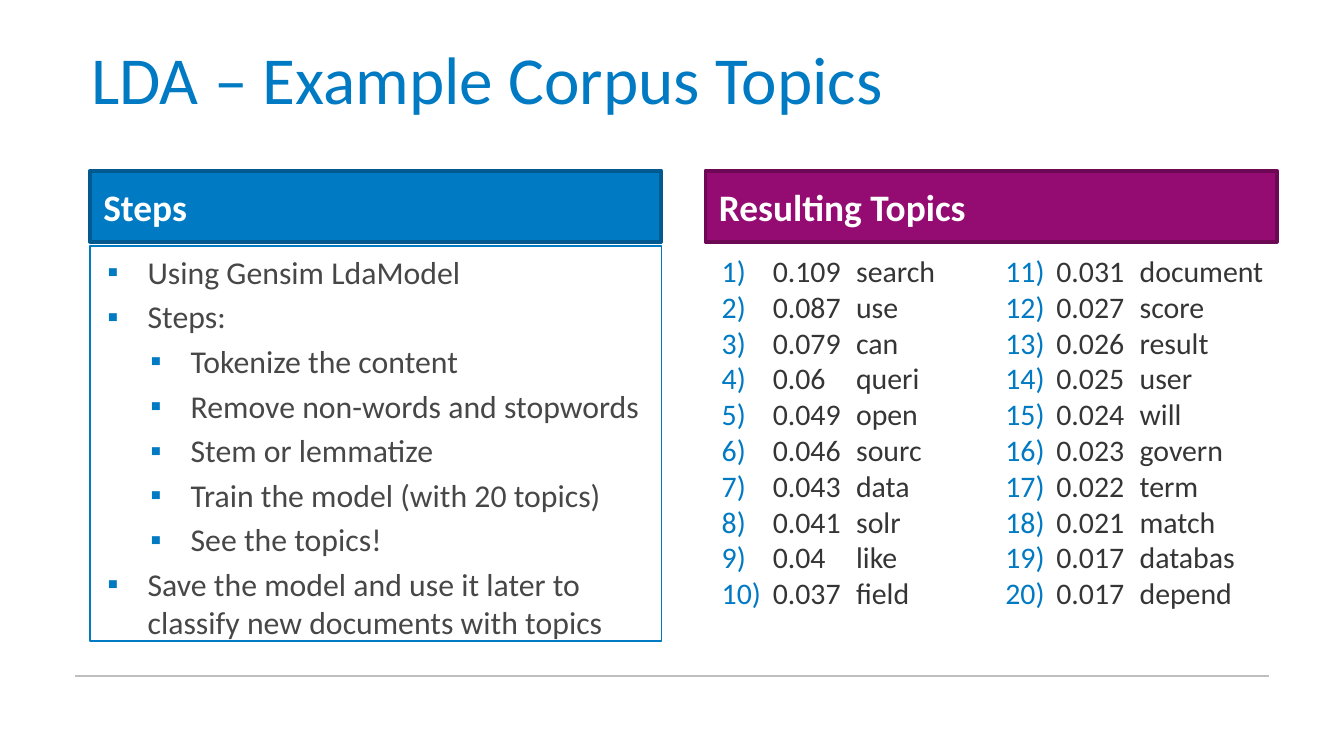
from lxml.etree import SubElement
from pptx import Presentation
from pptx.dml.color import RGBColor
from pptx.enum.shapes import MSO_CONNECTOR, MSO_SHAPE
from pptx.enum.text import MSO_ANCHOR, MSO_AUTO_SIZE, PP_ALIGN
from pptx.oxml.ns import qn
from pptx.util import Inches, Pt

BLUE = RGBColor(0x00, 0x7A, 0xC3)
NAVY = RGBColor(0x00, 0x5A, 0x90)
PLUM = RGBColor(0x94, 0x0C, 0x72)
DARK_PLUM = RGBColor(0x6D, 0x09, 0x54)
GRAY = RGBColor(0x47, 0x47, 0x47)
INK = RGBColor(0x35, 0x35, 0x35)
RULE = RGBColor(0xBF, 0xBF, 0xBF)
WHITE = RGBColor(0xFF, 0xFF, 0xFF)


def add_run(para, text, size, color, bold=False):
    run = para.add_run()
    run.text = text
    font = run.font
    font.name, font.size, font.bold = "Calibri", Pt(size), bold
    font.color.rgb = color


def add_bullet(para, left, hang, tag, **attrs):
    """Give a paragraph a hanging indent and a blue bullet or number."""
    props = para._p.get_or_add_pPr()
    props.set("marL", str(Inches(left)))
    props.set("indent", str(-Inches(hang)))
    color = SubElement(props, qn("a:buClr"))
    SubElement(color, qn("a:srgbClr"), val=str(BLUE))
    SubElement(props, qn("a:buFont"), typeface="Arial" if tag == "a:buChar" else "Calibri")
    SubElement(props, qn(tag), **attrs)
    return props


prs = Presentation()
prs.slide_width = Inches(10)
prs.slide_height = prs.slide_width * 9 // 16
slide = prs.slides.add_slide(prs.slide_layouts[5])
shapes = slide.shapes

# Title and footer rule
title = shapes.title
title.left, title.top = Inches(0.58), Inches(0.22)
title.width, title.height = Inches(8.92), Inches(0.71)
title.text_frame.vertical_anchor = MSO_ANCHOR.MIDDLE
para = title.text_frame.paragraphs[0]
para.alignment = PP_ALIGN.LEFT
add_run(para, "LDA – Example Corpus Topics", 36, BLUE)

rule = shapes.add_connector(
    MSO_CONNECTOR.STRAIGHT, Inches(0.56), Inches(5.03), Inches(9.44), Inches(5.03))
rule.line.color.rgb, rule.line.width = RULE, Pt(1)
SubElement(rule._element.spPr, qn("a:effectLst"))

# Column headers
for left, text, fill, edge in (
    (0.67, "Steps", BLUE, NAVY),
    (5.25, "Resulting Topics", PLUM, DARK_PLUM),
):
    head = shapes.add_shape(
        MSO_SHAPE.RECTANGLE, Inches(left), Inches(1.27), Inches(4.25), Inches(0.53))
    head.shadow.inherit = False
    head.fill.solid()
    head.fill.fore_color.rgb = fill
    head.line.color.rgb, head.line.width = edge, Pt(2)
    head.text_frame.vertical_anchor = MSO_ANCHOR.MIDDLE
    para = head.text_frame.paragraphs[0]
    para.alignment = PP_ALIGN.LEFT
    add_run(para, text, 20, WHITE, True)

# Steps
steps = [
    (0, "Using Gensim LdaModel"),
    (0, "Steps:"),
    (1, "Tokenize the content"),
    (1, "Remove non-words and stopwords"),
    (1, "Stem or lemmatize"),
    (1, "Train the model (with 20 topics)"),
    (1, "See the topics!"),
    (0, "Save the model and use it later to classify new documents with topics"),
]
box = shapes.add_textbox(Inches(0.67), Inches(1.83), Inches(4.25), Inches(2.94))
box.line.color.rgb, box.line.width = BLUE, Pt(0.75)
frame = box.text_frame
frame.word_wrap = True
for i, (level, text) in enumerate(steps):
    para = frame.add_paragraph() if i else frame.paragraphs[0]
    para.level = level
    add_bullet(para, 0.33 + 0.32 * level, 0.3, "a:buChar", char="▪")
    para.space_before = Pt(3.5 if i else 0)
    add_run(para, text, 17, GRAY)

# Topics, ten to a column
topics = [
    ("0.109", "search"), ("0.087", "use"), ("0.079", "can"), ("0.06", "queri"),
    ("0.049", "open"), ("0.046", "sourc"), ("0.043", "data"), ("0.041", "solr"),
    ("0.04", "like"), ("0.037", "field"),
    ("0.031", "document"), ("0.027", "score"), ("0.026", "result"), ("0.025", "user"),
    ("0.024", "will"), ("0.023", "govern"), ("0.022", "term"), ("0.021", "match"),
    ("0.017", "databas"), ("0.017", "depend"),
]
for left, first in ((7.36, 10), (5.25, 0)):
    box = shapes.add_textbox(Inches(left), Inches(1.83), Inches(2.15), Inches(2.79))
    frame = box.text_frame
    frame.word_wrap = True
    frame.auto_size = MSO_AUTO_SIZE.SHAPE_TO_FIT_TEXT
    frame.margin_left = Inches(0.12)
    for i, (weight, word) in enumerate(topics[first:first + 10]):
        para = frame.add_paragraph() if i else frame.paragraphs[0]
        props = add_bullet(para, 0.38, 0.38, "a:buAutoNum",
                           type="arabicParenR", startAt=str(first + 1))
        tabs = SubElement(props, qn("a:tabLst"))
        SubElement(tabs, qn("a:tab"), pos=str(Inches(1)), algn="l")
        add_run(para, f"{weight}\t{word}", 16, INK)

prs.save("out.pptx")
